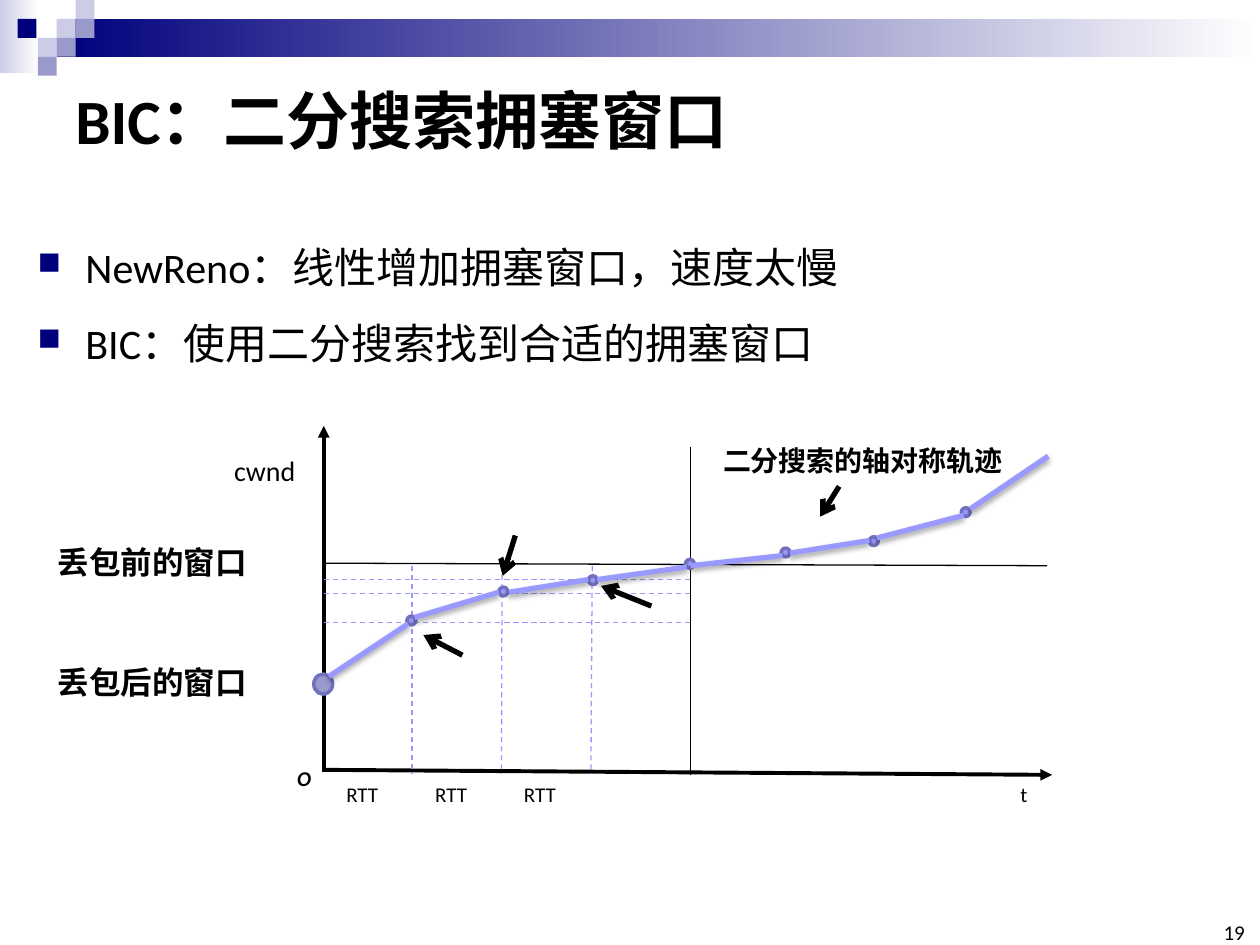
from dataclasses import dataclass

from lxml.etree import SubElement
from pptx import Presentation
from pptx.dml.color import RGBColor
from pptx.enum.dml import MSO_LINE
from pptx.enum.shapes import MSO_CONNECTOR, MSO_SHAPE
from pptx.enum.text import MSO_ANCHOR, MSO_AUTO_SIZE, PP_ALIGN
from pptx.oxml.ns import qn
from pptx.util import Inches, Pt


@dataclass(frozen=True)
class Theme:
    """Colours, fonts and type sizes of the slide."""
    ink: str = "000000"
    paper: str = "FFFFFF"
    navy: str = "00007D"
    pale: str = "CCCCE6"
    mauve: str = "9999CC"
    curve: str = "9999FF"
    rim: str = "7171BD"
    latin: str = "Calibri"
    chinese: str = "Noto Sans CJK SC"
    title: int = 36
    body: int = 24
    level: int = 18
    note: int = 16
    small: int = 12


THEME = Theme()
COLUMNS, ROWS = 100, 75
CELL = Inches(10) // COLUMNS
TILE = 1.5


@dataclass(frozen=True)
class Label:
    """A text with its place on the grid and its look."""
    text: str
    col: float
    row: float
    cols: float
    rows: float
    size: int
    font: str = THEME.latin
    bold: bool = False
    italic: bool = False
    wrap: bool = False


@dataclass(frozen=True)
class Stroke:
    """The look of a straight line."""
    color: str
    width: float
    dashed: bool = False
    head: str = ""
    shadow: bool = False


AXIS = Stroke(THEME.ink, 2.25, head="triangle")
REFERENCE = Stroke(THEME.ink, 0.75)
GUIDE = Stroke(THEME.curve, 0.75, dashed=True)
TRACE = Stroke(THEME.curve, 3, shadow=True)
POINTER = Stroke(THEME.ink, 3, head="arrow")

TILES = ((3, 1, THEME.pale), (4, 0, THEME.pale), (4, 1, THEME.mauve),
         (2, 2, THEME.pale), (0.93, 1, THEME.navy), (3, 2, THEME.mauve),
         (2, 3, THEME.mauve))
BULLETS = ("NewReno：线性增加拥塞窗口，速度太慢", "BIC：使用二分搜索找到合适的拥塞窗口")
AXES = ((25.6, 61.1, 83.5, 61.5), (25.7, 61.3, 25.7, 33.8))
REFERENCES = ((25.7, 44.7, 83.1, 44.9), (54.8, 35.5, 54.8, 61.5))
GUIDE_ROWS = (49.4, 47.1, 46)
SAMPLES = ((32.3, 48.9), (39.6, 46.6), (46.7, 45.7), (54.4, 44.4),
           (62, 43.5), (69, 42.6), (76.3, 40.3))
SEGMENTS = ((26.1, 53.7, 32.4, 49.5), (32.9, 49, 39.6, 47),
            (40.4, 47, 46.7, 46), (47.4, 46, 54.5, 45),
            (83.2, 36.2, 77, 40.4), (76.5, 40.9, 69.6, 42.7),
            (69, 42.9, 62.7, 43.9), (62.1, 44.1, 54.8, 44.9))
POINTERS = ((40.9, 42.5, 39.9, 45.7), (36.7, 52, 33.6, 50.4),
            (51.7, 48.1, 47.7, 46.5), (66.6, 38.6, 65.1, 41))
LABELS = (
    Label("cwnd", 17.6, 35.5, 6.9, 3.7, THEME.note),
    Label("t", 80, 61.5, 2.6, 3, THEME.small),
    Label("O", 22.6, 60.3, 3.1, 3, THEME.small, bold=True, italic=True),
    Label("丢包前的窗口", 3.6, 42.6, 18.5, 4, THEME.level, THEME.chinese, True, wrap=True),
    Label("丢包后的窗口", 3.6, 52.1, 18.5, 4, THEME.level, THEME.chinese, True, wrap=True),
    Label("二分搜索的轴对称轨迹", 56.4, 34.7, 24.2, 3.7, THEME.note, THEME.chinese, True),
)


def grid(*cells: float) -> list[int]:
    """Turn grid cells into slide lengths."""
    return [round(cell * CELL) for cell in cells]


def rgb(color: str) -> RGBColor:
    """Read a hexadecimal colour."""
    return RGBColor.from_string(color)


def add_run(paragraph, label: Label) -> None:
    """Add the label's text as one run."""
    run = paragraph.add_run()
    run.text = label.text
    run.font.name, run.font.size = label.font, Pt(label.size)
    run.font.bold, run.font.italic = label.bold, label.italic
    run.font.color.rgb = rgb(THEME.ink)
    SubElement(run.font._element, qn("a:ea"), typeface=label.font)


def add_label(slide, label: Label, fit: bool = True):
    """Add a text box and return its frame."""
    frame = slide.shapes.add_textbox(
        *grid(label.col, label.row, label.cols, label.rows)).text_frame
    frame.word_wrap = label.wrap
    frame.auto_size = MSO_AUTO_SIZE.SHAPE_TO_FIT_TEXT if fit else MSO_AUTO_SIZE.NONE
    add_run(frame.paragraphs[0], label)
    return frame


def add_bullet(paragraph) -> None:
    """Give a paragraph its square bullet and hanging indent."""
    paragraph.line_spacing = 1.5
    properties = paragraph._p.get_or_add_pPr()
    properties.set("marL", str(Inches(0.38)))
    properties.set("indent", str(-Inches(0.38)))
    SubElement(SubElement(properties, qn("a:buClr")), qn("a:srgbClr"), val=THEME.navy)
    SubElement(properties, qn("a:buSzPct"), val="75000")
    SubElement(properties, qn("a:buChar"), char="■")


def add_block(slide, kind: MSO_SHAPE, cells: tuple, fill: str, fade: str = "", rim: str = "") -> None:
    """Add a preset shape with a plain or fading fill."""
    block = slide.shapes.add_shape(kind, *grid(*cells))
    block.shadow.inherit = False
    if fade:
        block.fill.gradient()
        block.fill.gradient_angle = 0
        for stop, color in zip(block.fill.gradient_stops, (fill, fade)):
            stop.color.rgb = rgb(color)
    else:
        block.fill.solid()
        block.fill.fore_color.rgb = rgb(fill)
    if rim:
        block.line.color.rgb, block.line.width = rgb(rim), Pt(2)
    else:
        block.line.fill.background()


def add_stroke(slide, ends: tuple, stroke: Stroke) -> None:
    """Add a straight connector between two grid points."""
    connector = slide.shapes.add_connector(MSO_CONNECTOR.STRAIGHT, *grid(*ends))
    connector.line.color.rgb, connector.line.width = rgb(stroke.color), Pt(stroke.width)
    if stroke.dashed:
        connector.line.dash_style = MSO_LINE.DASH
    if stroke.head:
        SubElement(connector.line._get_or_add_ln(), qn("a:tailEnd"), type=stroke.head)
    effects = SubElement(connector._element.spPr, qn("a:effectLst"))
    if stroke.shadow:
        shade = SubElement(effects, qn("a:outerShdw"), blurRad=str(Pt(3.1)),
                           dist=str(Pt(1.8)), dir="5400000", rotWithShape="0")
        color = SubElement(shade, qn("a:srgbClr"), val=THEME.ink)
        SubElement(color, qn("a:alpha"), val="35000")


def draw_banner(slide) -> None:
    """Draw the fading bands and the tiles at the top."""
    add_block(slide, MSO_SHAPE.RECTANGLE, (0, 0, 3.1, 5.8), THEME.pale, THEME.paper)
    add_block(slide, MSO_SHAPE.RECTANGLE, (4.5, 1.5, 95.5, 3), THEME.navy, THEME.paper)
    for col, row, color in TILES:
        add_block(slide, MSO_SHAPE.RECTANGLE, (col * TILE, row * TILE, TILE, TILE), color)


def draw_text(slide) -> None:
    """Write the title, the bullets and the page number."""
    title = Label("BIC：二分搜索拥塞窗口", 5, 5, 90, 8.9, THEME.title, bold=True, wrap=True)
    add_label(slide, title, fit=False).vertical_anchor = MSO_ANCHOR.MIDDLE
    first, second = (Label(text, 2, 16.7, 91.4, 17.1, THEME.body, wrap=True) for text in BULLETS)
    body = add_label(slide, first, fit=False)
    add_run(body.add_paragraph(), second)
    for paragraph in body.paragraphs:
        add_bullet(paragraph)
    page = add_label(slide, Label("19", 96.5, 73.3, 2.3, 1.7, THEME.small, wrap=True), fit=False)
    page.margin_left = page.margin_right = page.margin_top = page.margin_bottom = 0
    page.vertical_anchor = MSO_ANCHOR.BOTTOM
    page.paragraphs[0].alignment = PP_ALIGN.RIGHT


def draw_window_graph(slide) -> None:
    """Draw the congestion window over time."""
    step_guides = [(32.7 + 7.15 * n, 44.9, 32.7 + 7.1 * n, 61.4) for n in range(3)]
    level_guides = [(25.7, row, 54.9, row) for row in GUIDE_ROWS]
    for lines, stroke in ((AXES, AXIS), (REFERENCES, REFERENCE), (step_guides + level_guides, GUIDE)):
        for ends in lines:
            add_stroke(slide, ends, stroke)
    add_block(slide, MSO_SHAPE.OVAL, (24.9, 53.5, 1.5, 1.6), THEME.mauve, rim=THEME.rim)
    for col, row in SAMPLES:
        add_block(slide, MSO_SHAPE.OVAL, (col, row, 0.7, 0.7), THEME.curve, rim=THEME.rim)
    for lines, stroke in ((SEGMENTS, TRACE), (POINTERS, POINTER)):
        for ends in lines:
            add_stroke(slide, ends, stroke)
    rounds = [Label("RTT", 26.5 + 7.05 * n, 61.5, 4.8, 3, THEME.small) for n in range(3)]
    for label in (*LABELS, *rounds):
        add_label(slide, label)


def main() -> None:
    """Build and save the slide."""
    deck = Presentation()
    deck.slide_width, deck.slide_height = grid(COLUMNS, ROWS)
    slide = deck.slides.add_slide(deck.slide_layouts[6])
    draw_banner(slide)
    draw_text(slide)
    draw_window_graph(slide)
    deck.save("out.pptx")


if __name__ == "__main__":
    main()
